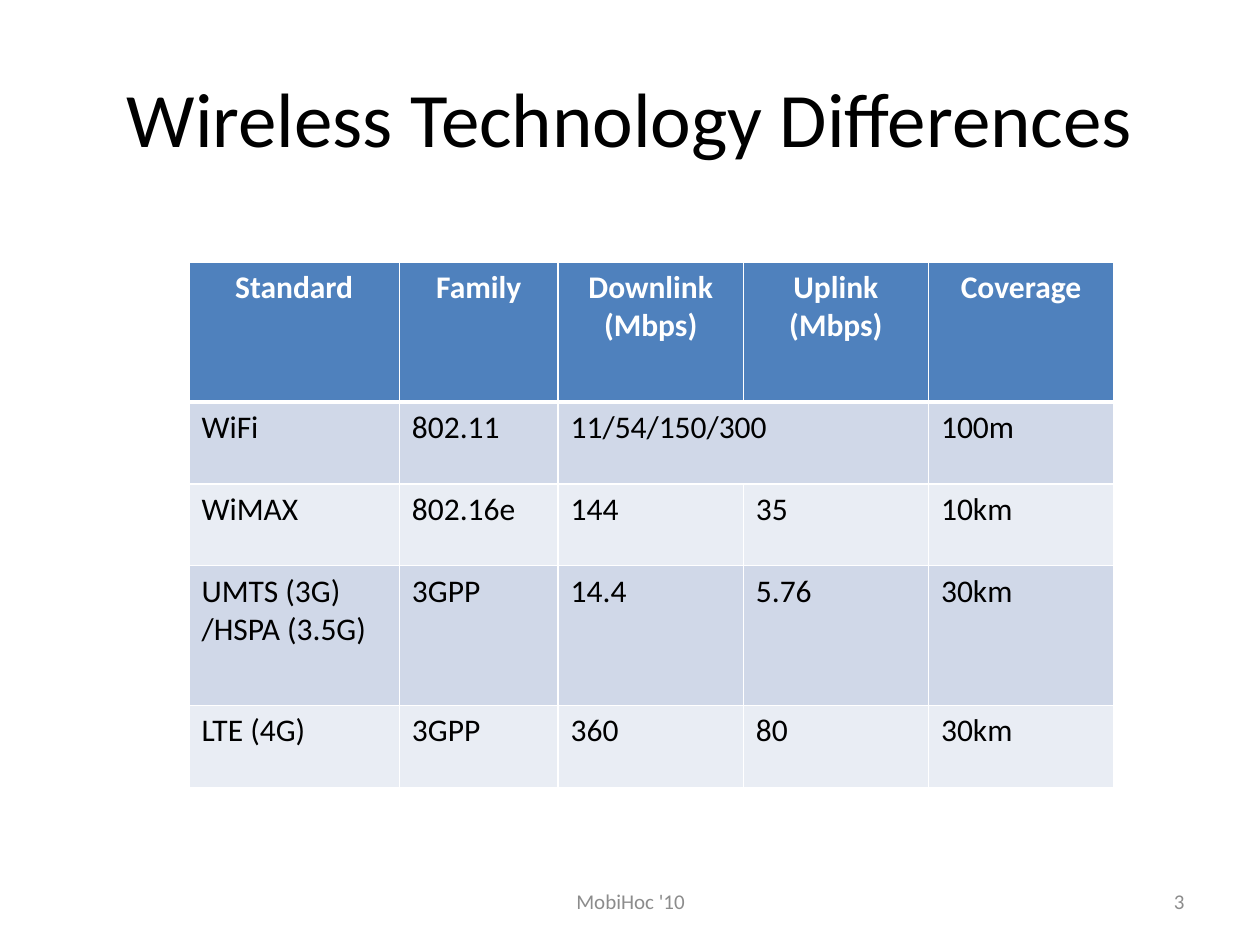
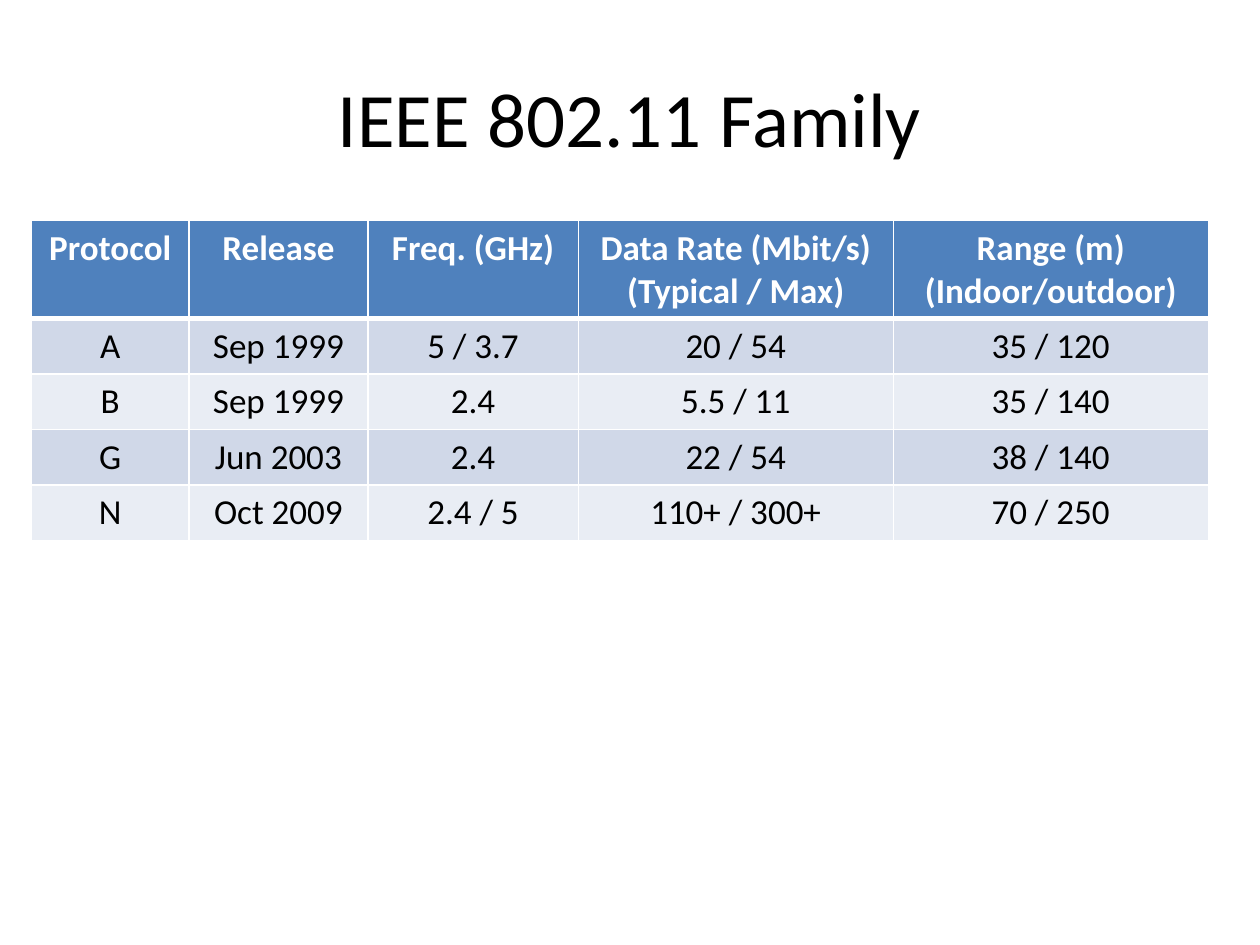
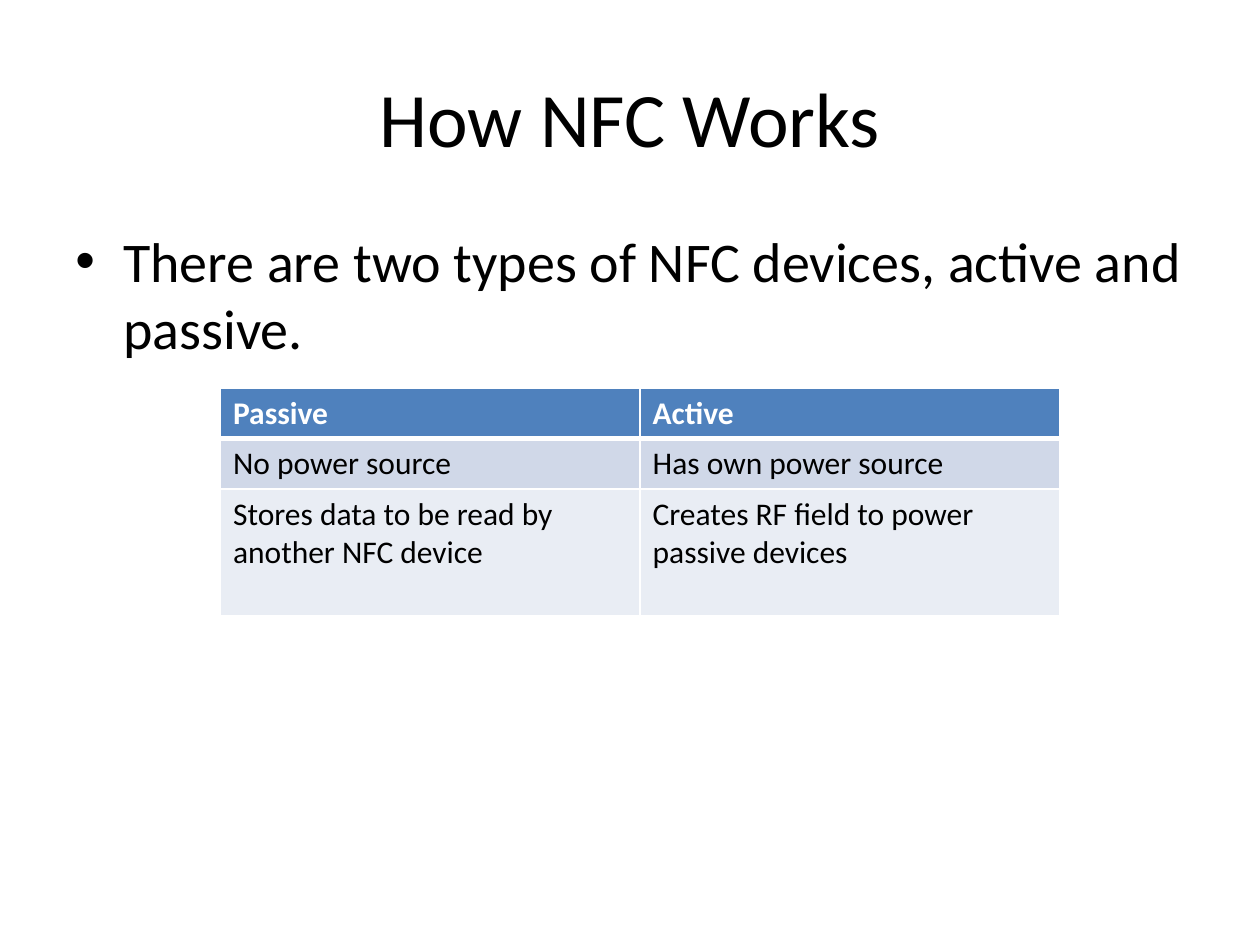
from lxml.etree import SubElement
from pptx import Presentation
from pptx.dml.color import RGBColor
from pptx.enum.text import MSO_ANCHOR, PP_ALIGN
from pptx.oxml.ns import qn
from pptx.util import Inches, Pt

FONT = "Calibri"
COLORS = {
    "text": "000000",
    "footer": "8C8C8C",
    "header": "4F81BD",
    "bands": ("D0D8E8", "E9EDF4"),
    "white": "FFFFFF",
}
WIDTH, HEIGHT = 10, 7.5
MARGIN = WIDTH / 20
TITLE_BOX = (MARGIN, HEIGHT * 0.04, WIDTH * 0.9, 1.25)
BODY_BOX = (MARGIN, 1.75, WIDTH * 0.9, 4.95)
FOOTER_BOX = (3.42, 6.95, 3.17, 0.4)
NUMBER_BOX = (7.17, 6.95, 2.33, 0.4)
INDENT = 0.38

SLIDES = [
    {
        "title": "Wireless Technology Differences",
        "footer": "MobiHoc '10",
        "number": "3",
        "table": {
            "origin": (1.5, 2.08),
            "columns": [1.67, 1.26, 1.47, 1.47, 1.47],
            "rows": [1.11, 0.65, 0.65, 1.11, 0.65],
            "size": 18,
            "header_align": PP_ALIGN.CENTER,
            "body_align": PP_ALIGN.LEFT,
            "cells": [
                ["Standard", "Family", "Downlink\n(Mbps)", "Uplink\n(Mbps)", "Coverage"],
                ["WiFi", "802.11", "11/54/150/300", None, "100m"],
                ["WiMAX", "802.16e", "144", "35", "10km"],
                ["UMTS (3G)\n/HSPA (3.5G)", "3GPP", "14.4", "5.76", "30km"],
                ["LTE (4G)", "3GPP", "360", "80", "30km"],
            ],
        },
    },
    {
        "title": "IEEE 802.11 Family",
        "table": {
            "origin": (0.25, 1.75),
            "columns": [1.25, 1.42, 1.67, 2.5, 2.5],
            "rows": [0.78] + [0.44] * 4,
            "size": 20,
            "header_align": PP_ALIGN.CENTER,
            "body_align": PP_ALIGN.CENTER,
            "cells": [
                ["Protocol", "Release", "Freq. (GHz)",
                 "Data Rate (Mbit/s) (Typical / Max)", "Range (m) (Indoor/outdoor)"],
                ["A", "Sep 1999", "5 / 3.7", "20 / 54", "35 / 120"],
                ["B", "Sep 1999", "2.4", "5.5 / 11", "35 / 140"],
                ["G", "Jun 2003", "2.4", "22 / 54", "38 / 140"],
                ["N", "Oct 2009", "2.4 / 5", "110+ / 300+", "70 / 250"],
            ],
        },
    },
    {
        "title": "How NFC Works",
        "bullet": "There are two types of NFC devices, active and passive.",
        "table": {
            "origin": (1.75, 3.08),
            "columns": [3.33, 3.33],
            "rows": [0.4, 0.4, 1.01],
            "size": 18,
            "header_align": PP_ALIGN.LEFT,
            "body_align": PP_ALIGN.LEFT,
            "cells": [
                ["Passive", "Active"],
                ["No power source", "Has own power source"],
                ["Stores data to be read by another NFC device",
                 "Creates RF field to power passive devices"],
            ],
        },
    },
]


def style_text(frame, size, color, align, bold=False):
    for paragraph in frame.paragraphs:
        paragraph.alignment = align
        paragraph.font.name = FONT
        paragraph.font.size = Pt(size)
        paragraph.font.bold = bold
        paragraph.font.color.rgb = RGBColor.from_string(color)


def add_text(slide, box, text, size, color, align, anchor=MSO_ANCHOR.MIDDLE):
    frame = slide.shapes.add_textbox(*map(Inches, box)).text_frame
    frame.word_wrap = True
    frame.vertical_anchor = anchor
    frame.text = text
    style_text(frame, size, color, align)
    return frame.paragraphs[0]


def add_bullet(slide, text):
    paragraph = add_text(slide, BODY_BOX, text, 32, COLORS["text"], PP_ALIGN.LEFT, MSO_ANCHOR.TOP)
    paragraph.space_before = Pt(6.4)
    properties = paragraph._p.get_or_add_pPr()
    properties.set("marL", str(Inches(INDENT)))
    properties.set("indent", str(-Inches(INDENT)))
    bullet_font = SubElement(properties, qn("a:buFont"), typeface="Arial")
    bullet_font.addnext(SubElement(properties, qn("a:buChar"), char="•"))
    properties.append(properties.find(qn("a:defRPr")))


def add_borders(cell, top, bottom):
    properties = cell._tc.get_or_add_tcPr()
    for side, width in (("L", 1), ("R", 1), ("T", top), ("B", bottom)):
        line = SubElement(properties, qn(f"a:ln{side}"), w=str(Pt(width)))
        fill = SubElement(line, qn("a:solidFill"))
        SubElement(fill, qn("a:srgbClr"), val=COLORS["white"])


def add_table(slide, content):
    columns, rows = content["columns"], content["rows"]
    box = (*content["origin"], sum(columns), sum(rows))
    table = slide.shapes.add_table(len(rows), len(columns), *map(Inches, box)).table
    for column, width in zip(table.columns, columns):
        column.width = Inches(width)
    for row_index, (height, texts) in enumerate(zip(rows, content["cells"])):
        table.rows[row_index].height = Inches(height)
        header = row_index == 0
        fill = COLORS["header"] if header else COLORS["bands"][(row_index - 1) % 2]
        color = COLORS["white"] if header else COLORS["text"]
        align = content["header_align" if header else "body_align"]
        for column_index, text in enumerate(texts):
            cell = table.cell(row_index, column_index)
            add_borders(cell, 3 if row_index == 1 else 1, 3 if header else 1)
            cell.fill.solid()
            cell.fill.fore_color.rgb = RGBColor.from_string(fill)
            if text is None:
                table.cell(row_index, column_index - 1).merge(cell)
                continue
            cell.text = text
            style_text(cell.text_frame, content["size"], color, align, header)


def main():
    presentation = Presentation()
    presentation.slide_width, presentation.slide_height = Inches(WIDTH), Inches(HEIGHT)
    for content in SLIDES:
        slide = presentation.slides.add_slide(presentation.slide_layouts[6])
        add_text(slide, TITLE_BOX, content["title"], 44, COLORS["text"], PP_ALIGN.CENTER)
        if "bullet" in content:
            add_bullet(slide, content["bullet"])
        if "footer" in content:
            add_text(slide, FOOTER_BOX, content["footer"], 12, COLORS["footer"], PP_ALIGN.CENTER)
            add_text(slide, NUMBER_BOX, content["number"], 12, COLORS["footer"], PP_ALIGN.RIGHT)
        add_table(slide, content["table"])
    presentation.save("out.pptx")


if __name__ == "__main__":
    main()
